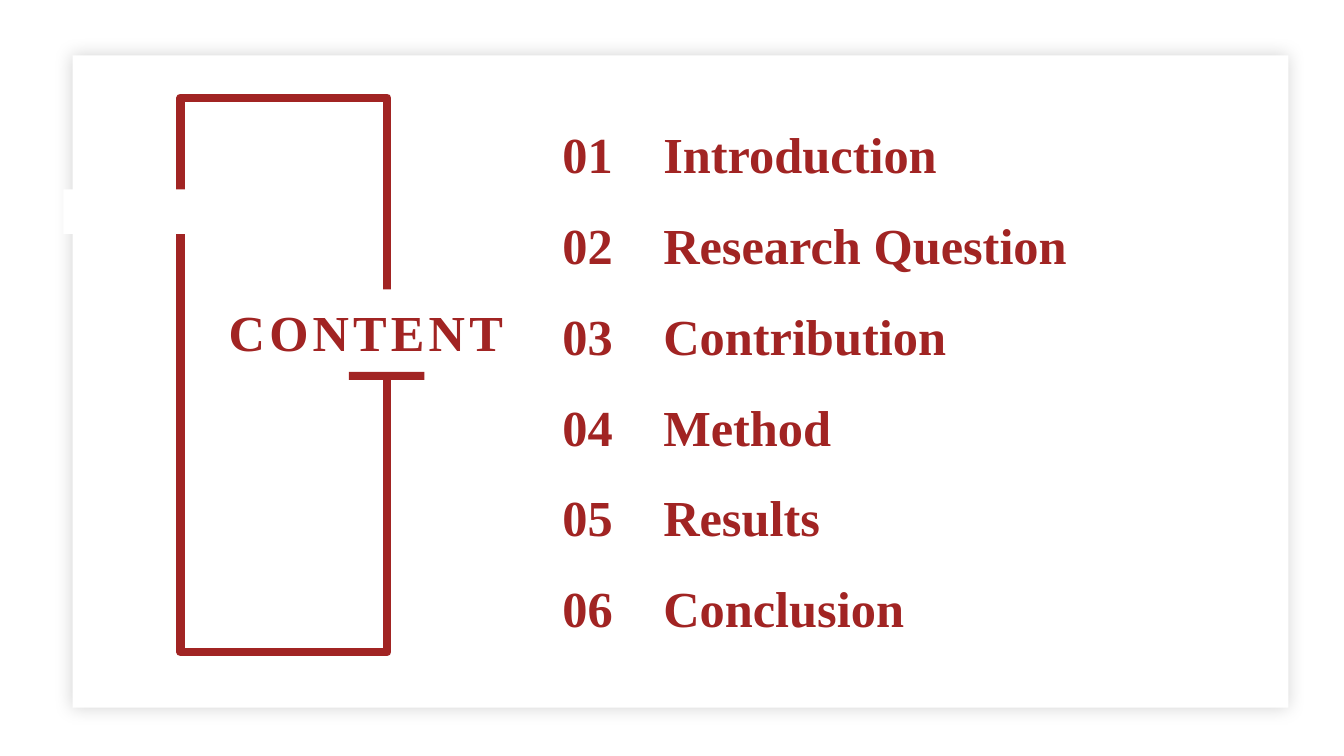
from dataclasses import dataclass

from lxml import etree
from pptx import Presentation
from pptx.dml.color import RGBColor
from pptx.enum.shapes import MSO_SHAPE
from pptx.enum.text import MSO_ANCHOR, PP_ALIGN
from pptx.oxml.ns import qn
from pptx.util import Pt

RECTANGLE = MSO_SHAPE.RECTANGLE
TOP, MIDDLE = MSO_ANCHOR.TOP, MSO_ANCHOR.MIDDLE
LEFT, RIGHT = PP_ALIGN.LEFT, PP_ALIGN.RIGHT
EMU_PER_PX = 9144


@dataclass(frozen=True)
class Theme:
    accent: str = "A12423"
    paper: str = "FFFFFF"
    shadow: str = "000000"
    font: str = "Times New Roman"
    text_size: int = 36
    frame_width: int = 6


class Deck:
    def __init__(self, theme, width, height):
        self.theme = theme
        self.presentation = Presentation()
        self.presentation.slide_width = width * EMU_PER_PX
        self.presentation.slide_height = height * EMU_PER_PX
        self.slide = self.presentation.slides.add_slide(self.presentation.slide_layouts[6])

    def rectangle(self, *box, fill=None, outline=None):
        shape = self.slide.shapes.add_shape(RECTANGLE, *(px * EMU_PER_PX for px in box))
        shape.shadow.inherit = False
        if fill:
            shape.fill.solid()
            shape.fill.fore_color.rgb = RGBColor.from_string(fill)
        else:
            shape.fill.background()
        if outline:
            shape.line.color.rgb = RGBColor.from_string(outline)
            shape.line.width = Pt(self.theme.frame_width)
        else:
            shape.line.fill.background()
        return shape

    def glow(self, shape, blur, opacity):
        effects = shape._element.spPr.find(qn("a:effectLst"))
        shadow = etree.SubElement(effects, qn("a:outerShdw"), blurRad=str(Pt(blur)),
                                  dist="0", dir="0", algn="ctr", rotWithShape="0")
        color = etree.SubElement(shadow, qn("a:srgbClr"), val=self.theme.shadow)
        etree.SubElement(color, qn("a:alpha"), val=str(opacity * 1000))

    def text_box(self, *box):
        return self.slide.shapes.add_textbox(*(px * EMU_PER_PX for px in box))

    def set_text(self, shape, lines, align=LEFT, anchor=TOP, wrap=True,
                 leading=1.0, tracking=0, inset=5):
        frame = shape.text_frame
        frame.word_wrap = wrap
        frame.vertical_anchor = anchor
        frame.margin_top = inset * EMU_PER_PX
        frame.text = "\n".join(lines)
        font_format = {"name": self.theme.font, "size": Pt(self.theme.text_size), "bold": True}
        for paragraph in frame.paragraphs:
            paragraph.alignment = align
            paragraph.line_spacing = leading
            for run in paragraph.runs:
                for attribute, value in font_format.items():
                    setattr(run.font, attribute, value)
                run.font.color.rgb = RGBColor.from_string(self.theme.accent)
                if tracking:
                    run.font._element.set("spc", str(tracking * 100))

    def save(self):
        self.presentation.save("out.pptx")


def main():
    theme = Theme()
    deck = Deck(theme, 1333, 750)

    card = deck.rectangle(72, 55, 1206, 647, fill=theme.paper)
    deck.glow(card, blur=12, opacity=17)

    deck.rectangle(179, 97, 205, 550, outline=theme.accent)
    heading = deck.rectangle(211, 287, 298, 90, fill=theme.paper)
    deck.set_text(heading, ["CONTENT"], align=RIGHT, tracking=3, inset=12)
    deck.rectangle(63, 188, 186, 44, fill=theme.paper)
    deck.rectangle(346, 369, 75, 8, fill=theme.accent)

    sections = ["Introduction", "Research Question", "Contribution",
                "Method", "Results", "Conclusion"]
    agenda = deck.text_box(548, 119, 549, 487)
    deck.set_text(agenda, [f"{number:02}\t{section}" for number, section in enumerate(sections, 1)],
                  anchor=MIDDLE, wrap=False, leading=1.5)

    deck.save()


if __name__ == "__main__":
    main()
